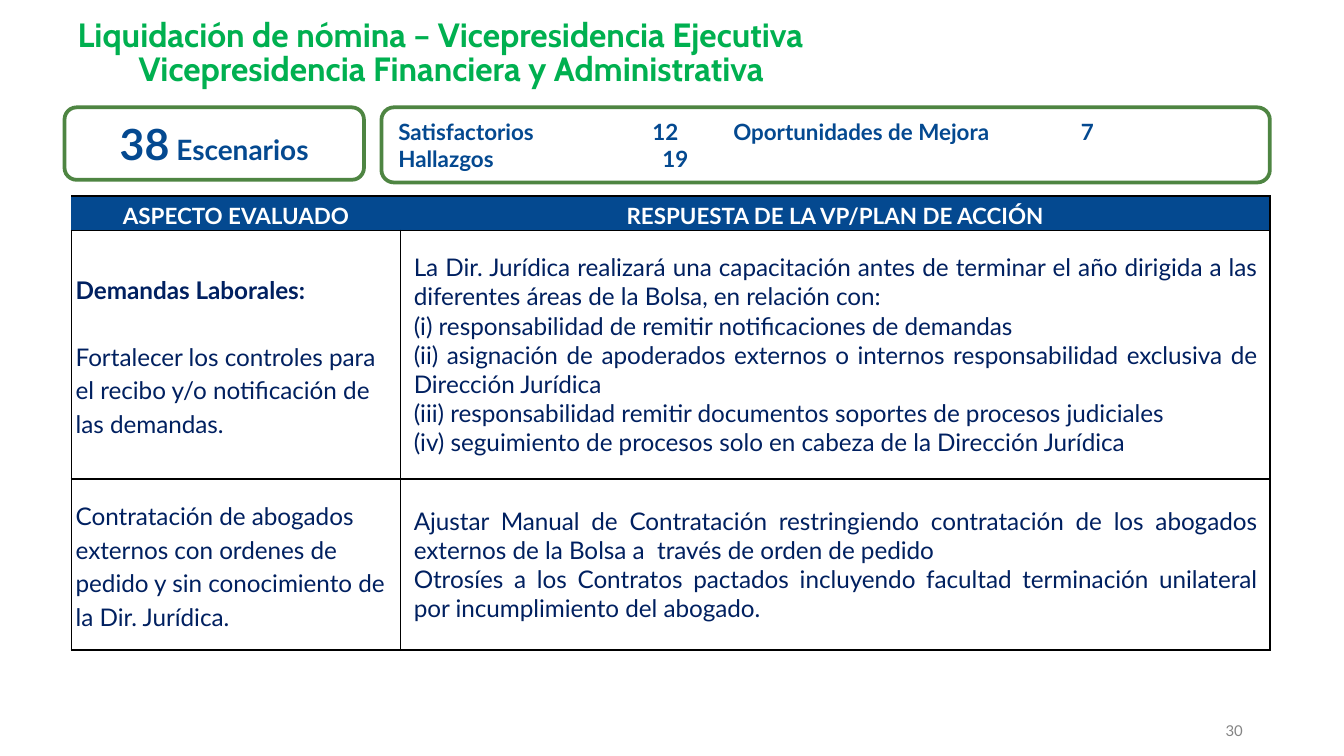
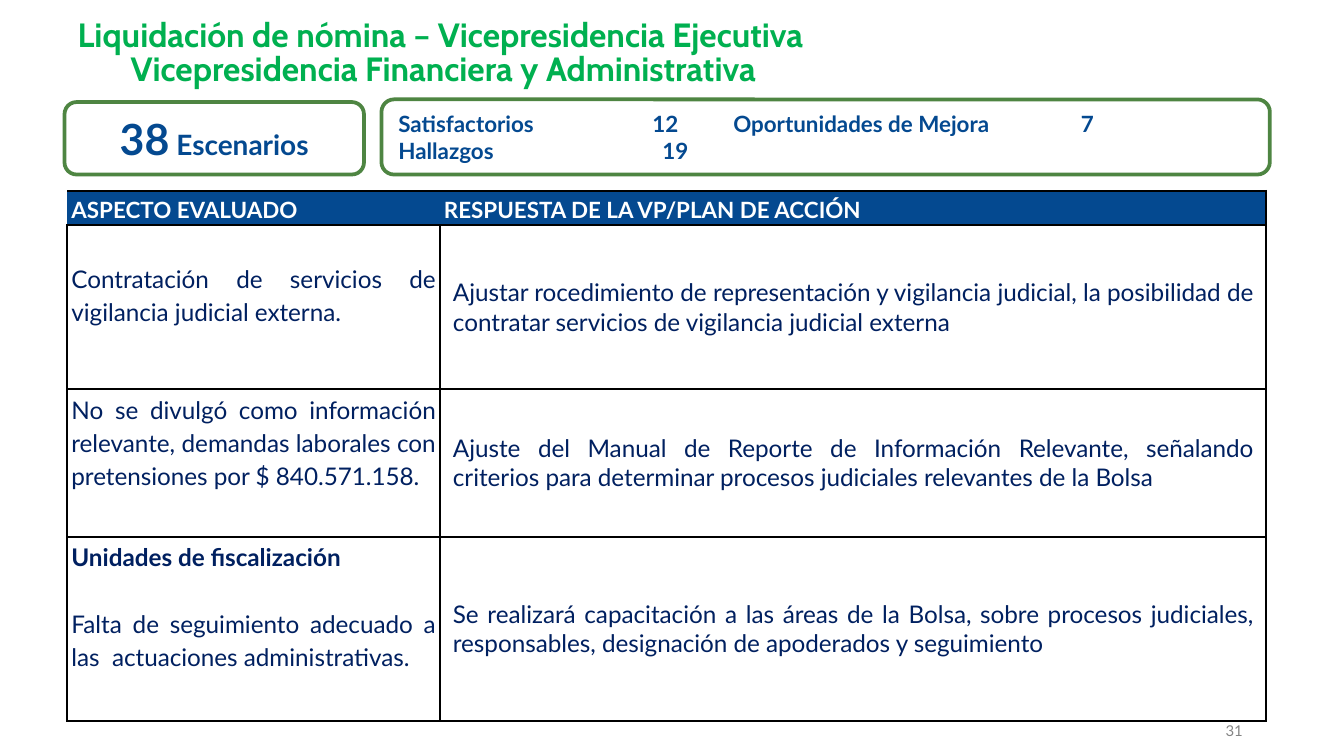
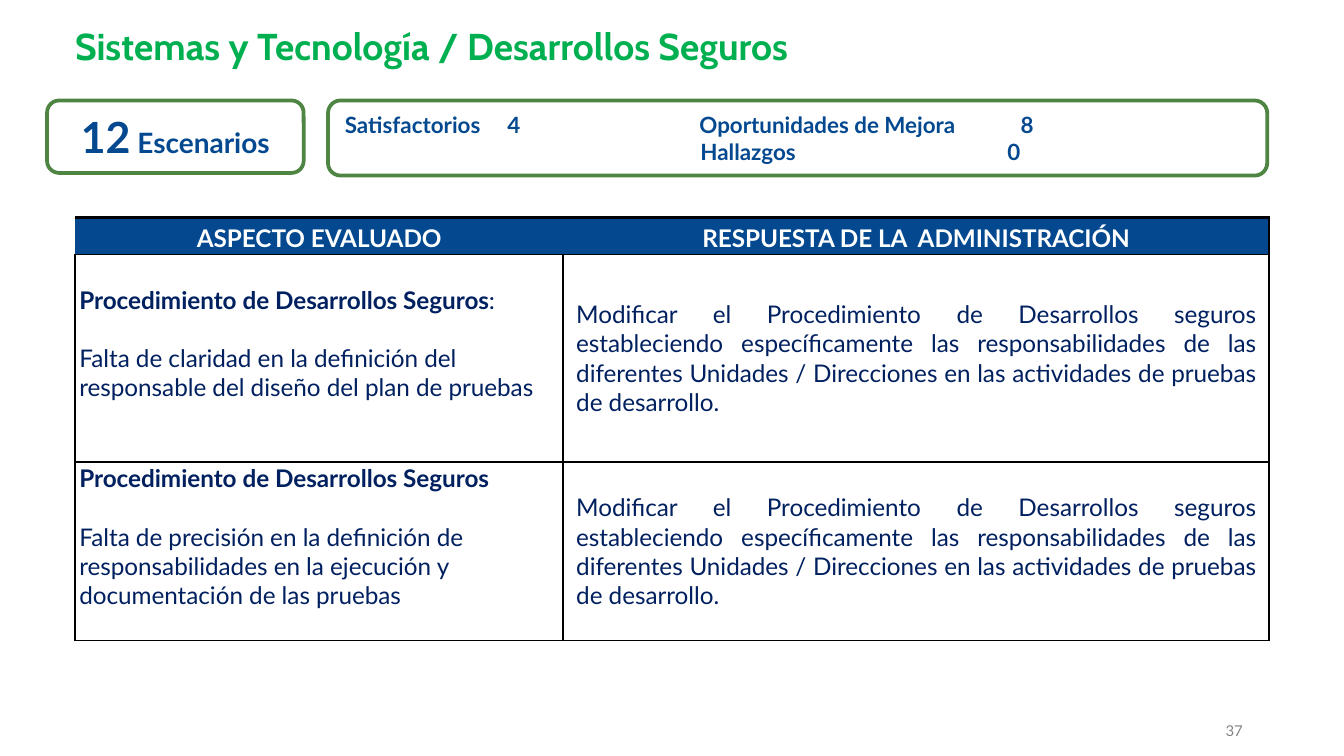
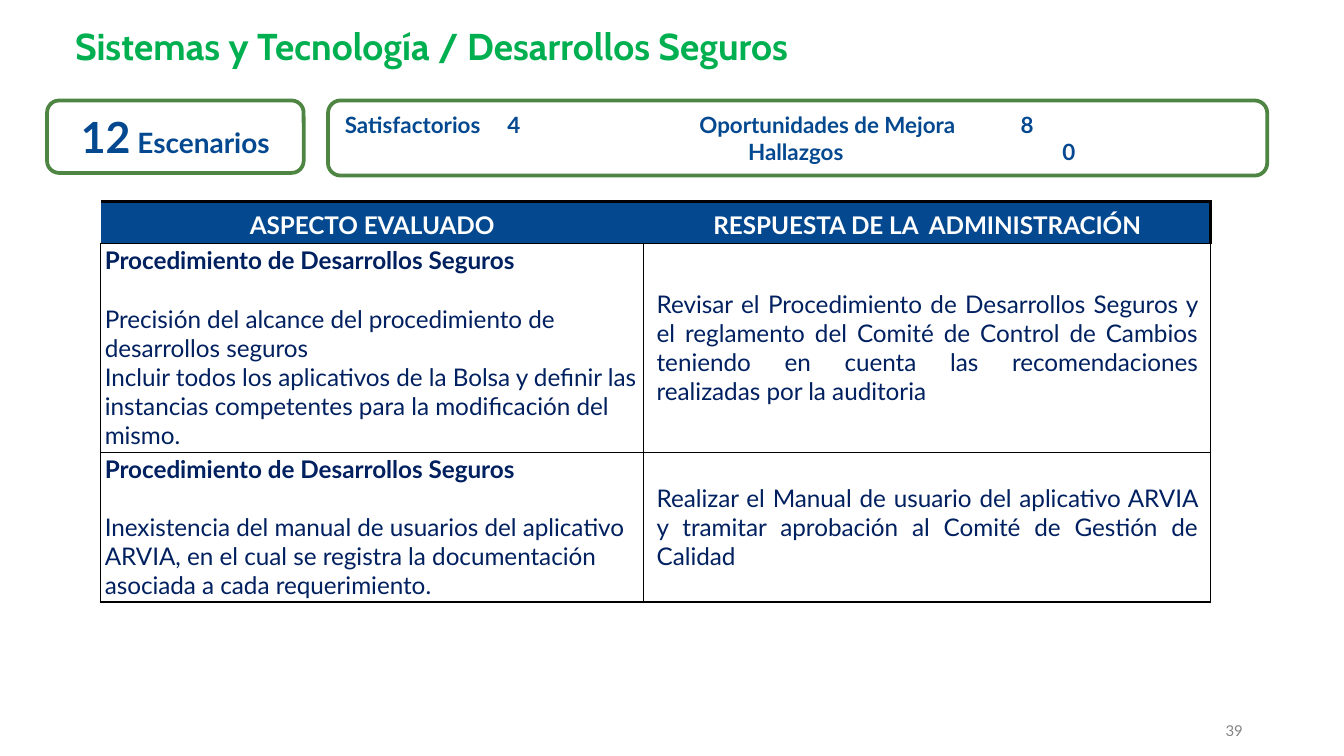
from dataclasses import dataclass

from lxml.etree import SubElement
from pptx import Presentation
from pptx.dml.color import RGBColor
from pptx.enum.shapes import MSO_SHAPE as Shape
from pptx.enum.text import MSO_ANCHOR as Anchor, PP_ALIGN as Align
from pptx.oxml.ns import qn
from pptx.util import Cm, Pt

BLUE, NAVY, GREEN, OUTLINE = "044990", "002060", "00B050", "4E8542"
BLACK, WHITE, GREY = "000000", "FFFFFF", "848484"
TEXT_FONT, TITLE_FONT = "Lato", "Cabin"
BODY_SIZE = 13


@dataclass
class Finding:
    """One table row: the aspect on the left, the answer on the right."""
    heading: str
    aspects: list
    answers: list
    colon: str = ""
    extra_top: float = 0
    extra_bottom: float = 0


@dataclass
class Layout:
    """What the slides of one audited area share."""
    title_box: tuple
    title_size: int
    count: str
    count_box: tuple
    summary_box: tuple
    header: tuple
    header_size: int
    spacing: float


# ---------- shared helpers ----------

def color(hex_code):
    return RGBColor.from_string(hex_code)


def set_margins(target, left, top, right, bottom):
    target.margin_left, target.margin_right = Cm(left), Cm(right)
    target.margin_top, target.margin_bottom = Cm(top), Cm(bottom)


def write(frame, text, size=BODY_SIZE, ink=NAVY, font=TEXT_FONT, bold=False,
          align=Align.LEFT, spacing=None, after=0, indent=0, tabs=()):
    """Add a paragraph; text is a string or a list of (text, changes)."""
    para = frame.paragraphs[0]
    if para.runs:
        para = frame.add_paragraph()
    para.alignment = align
    para.space_after = Pt(after)
    if spacing:
        para.line_spacing = spacing
    props = para._p.get_or_add_pPr()
    if indent:
        props.set("marL", str(Cm(indent)))
    if tabs:
        tab_list = SubElement(props, qn("a:tabLst"))
        for stop in tabs:
            SubElement(tab_list, qn("a:tab"), pos=str(Cm(stop)), algn="l")
    for words, changes in [(text, {})] if isinstance(text, str) else text:
        span = para.add_run()
        span.text = words
        span.font.name = font
        span.font.size = Pt(changes.get("size", size))
        span.font.bold = changes.get("bold", bold)
        span.font.color.rgb = color(ink)


def text_box(page, box, anchor=Anchor.TOP):
    frame = page.shapes.add_textbox(*map(Cm, box)).text_frame
    frame.word_wrap = True
    frame.vertical_anchor = anchor
    set_margins(frame, 0, 0, 0, 0)
    return frame


def rounded_box(page, box):
    shape = page.shapes.add_shape(Shape.ROUNDED_RECTANGLE, *map(Cm, box))
    shape.shadow.inherit = False
    shape.fill.solid()
    shape.fill.fore_color.rgb = color(WHITE)
    shape.line.color.rgb = color(OUTLINE)
    shape.line.width = Pt(2)
    shape.text_frame.word_wrap = True
    shape.text_frame.vertical_anchor = Anchor.MIDDLE
    return shape.text_frame


def set_borders(cell, left=1, right=1, top=1, bottom=1):
    """Draw the cell edges in points; zero means no line."""
    props = cell._tc.get_or_add_tcPr()
    for side, width in zip("LRTB", (left, right, top, bottom)):
        line = SubElement(props, qn(f"a:ln{side}"), w=str(Pt(width)))
        if width:
            fill = SubElement(line, qn("a:solidFill"))
            SubElement(fill, qn("a:srgbClr"), val=BLACK)
        else:
            SubElement(line, qn("a:noFill"))


# ---------- regions ----------

def add_title(page, layout, lines, second_indent=0):
    frame = text_box(page, layout.title_box)
    for line, indent in zip(lines, (0, second_indent)):
        write(frame, line, size=layout.title_size, ink=GREEN, font=TITLE_FONT,
              bold=True, spacing=0.85, indent=indent)


def add_page_number(page, number):
    frame = text_box(page, (22.68, 13.64, 0.81, 0.33), Anchor.BOTTOM)
    write(frame, str(number), size=8, ink=GREY, align=Align.RIGHT)


def add_count(page, layout, top):
    left, width, height = layout.count_box
    frame = rounded_box(page, (left, top, width, height))
    write(frame, [(layout.count, {"size": 23}), (" Escenarios", {})],
          size=15, ink=BLUE, bold=True, align=Align.CENTER)


def add_summary(page, layout, top, results):
    left, width, height = layout.summary_box
    frame = rounded_box(page, (left, top, width, height))
    for text, tabs in results:
        write(frame, text, size=12, ink=BLUE, bold=True, tabs=tabs)


def fill_header(cell, text, layout, align, last):
    cell.vertical_anchor = Anchor.MIDDLE
    set_margins(cell, 0.08, 0.03, 0.08, 0.03)
    set_borders(cell, left=0, right=1.5 if last else 0, top=1.5)
    cell.fill.solid()
    cell.fill.fore_color.rgb = color(BLUE)
    write(cell.text_frame, text, size=layout.header_size, ink=WHITE, bold=True,
          align=align, spacing=1.15)


def fill_aspect(cell, finding, layout, align, anchor):
    cell.vertical_anchor = anchor
    set_margins(cell, 0.08, 0.03 + finding.extra_top,
                0.08, 0.03 + finding.extra_bottom)
    set_borders(cell)
    cell.fill.background()
    style = {"align": align, "spacing": layout.spacing}
    if finding.heading:
        heading = [(finding.heading, {"bold": True})]
        if finding.colon:
            heading.append((finding.colon, {}))
        write(cell.text_frame, heading,
              after=round(BODY_SIZE * 1.2 * layout.spacing, 1), **style)
    for line in finding.aspects:
        write(cell.text_frame, line, **style)


def fill_answer(cell, finding):
    cell.vertical_anchor = Anchor.MIDDLE
    set_margins(cell, 0.25, 0.1, 0.25, 0.1)
    set_borders(cell)
    cell.fill.background()
    for line in finding.answers:
        write(cell.text_frame, line, align=Align.JUSTIFY)


def add_findings(page, layout, corner, widths, heights, findings,
                 header_align=Align.CENTER, aspect_align=Align.LEFT,
                 aspect_anchor=Anchor.MIDDLE):
    size = sum(widths), sum(heights)
    table = page.shapes.add_table(len(heights), len(widths),
                                  *map(Cm, corner + size)).table
    table.first_row = table.horz_banding = False
    for column, width in zip(table.columns, widths):
        column.width = Cm(width)
    for row, height in zip(table.rows, heights):
        row.height = Cm(height)
    for index, text in enumerate(layout.header):
        fill_header(table.cell(0, index), text, layout, header_align, index == 1)
    for index, finding in enumerate(findings, 1):
        fill_aspect(table.cell(index, 0), finding, layout, aspect_align,
                    aspect_anchor)
        fill_answer(table.cell(index, 1), finding)


def add_audit_page(deck, layout, number, title, tops, results, table,
                   second_indent=0):
    page = deck.slides.add_slide(deck.slide_layouts[6])
    add_page_number(page, number)
    add_title(page, layout, title, second_indent)
    add_findings(page, layout, **table)
    add_count(page, layout, tops[0])
    add_summary(page, layout, tops[1], results)


# ---------- content ----------

PAYROLL = Layout(
    title_box=(1.47, 0.38, 18.82, 1.22), title_size=18,
    count="38", count_box=(1.22, 5.66, 1.37), summary_box=(7.21, 16.79, 1.42),
    header=("ASPECTO EVALUADO", "RESPUESTA DE LA VP/PLAN DE ACCIÓN"),
    header_size=12, spacing=1.15)
PAYROLL_TITLE = ("Liquidación de nómina – Vicepresidencia Ejecutiva",
                 "Vicepresidencia Financiera y Administrativa")
PAYROLL_RESULTS = [
    ("Satisfactorios\t12\tOportunidades de Mejora\t7", (4.8, 6.33, 12.9)),
    ("Hallazgos\t19", (4.99,)),
]

SYSTEMS = Layout(
    title_box=(1.42, 0.56, 17.81, 0.89), title_size=20,
    count="12", count_box=(0.89, 4.85, 1.37), summary_box=(6.2, 17.75, 1.42),
    header=("ASPECTO EVALUADO", "RESPUESTA DE LA  ADMINISTRACIÓN"),
    header_size=13, spacing=1.0)
SYSTEMS_TITLE = ("Sistemas y Tecnología / Desarrollos Seguros",)
SYSTEMS_RESULT = ("Satisfactorios\t4\tOportunidades de Mejora\t8",
                  (3.07, 6.7, 12.77))
SECURE_PROCEDURE = "Procedimiento de Desarrollos Seguros"
CHANGE_PROCEDURE = (
    "Modificar el Procedimiento de Desarrollos seguros estableciendo "
    "específicamente las responsabilidades de las diferentes Unidades / "
    "Direcciones en las actividades de pruebas de desarrollo.")

LAWSUITS = [
    Finding("Demandas Laborales:",
            ["Fortalecer los controles para el recibo y/o notificación de las "
             "demandas."],
            ["La Dir. Jurídica realizará una capacitación antes de terminar el "
             "año dirigida a las diferentes áreas de la Bolsa, en relación con:",
             "(i) responsabilidad de remitir notificaciones de demandas",
             "(ii) asignación de apoderados externos o internos "
             "responsabilidad exclusiva de Dirección Jurídica",
             "(iii) responsabilidad remitir documentos soportes de procesos "
             "judiciales",
             "(iv) seguimiento de procesos solo en cabeza de la Dirección "
             "Jurídica"]),
    Finding("",
            ["Contratación de abogados externos con ordenes de pedido y sin "
             "conocimiento de la Dir. Jurídica."],
            ["Ajustar Manual de Contratación restringiendo contratación de los "
             "abogados externos de la Bolsa a  través de orden de pedido",
             "Otrosíes a los Contratos pactados incluyendo facultad "
             "terminación unilateral por incumplimiento del abogado."]),
]

SURVEILLANCE = [
    Finding("",
            ["Contratación de servicios de vigilancia judicial externa."],
            ["Ajustar rocedimiento de representación y vigilancia judicial, la "
             "posibilidad de contratar servicios de vigilancia judicial "
             "externa"],
            extra_top=0.63),
    Finding("",
            ["No se divulgó como información relevante, demandas laborales con "
             "pretensiones por $ 840.571.158."],
            ["Ajuste del Manual de Reporte de Información Relevante, señalando "
             "criterios para determinar procesos judiciales relevantes de la "
             "Bolsa"]),
    Finding("Unidades de fiscalización",
            ["Falta de seguimiento adecuado a las  actuaciones "
             "administrativas."],
            ["Se realizará capacitación a las áreas de la Bolsa, sobre "
             "procesos judiciales, responsables, designación de apoderados y "
             "seguimiento"]),
]

TESTING = [
    Finding(SECURE_PROCEDURE,
            ["Falta de claridad en la definición del responsable del diseño "
             "del plan de pruebas"],
            [CHANGE_PROCEDURE], colon=":", extra_bottom=0.55),
    Finding(SECURE_PROCEDURE,
            ["Falta de precisión en la definición de responsabilidades en la "
             "ejecución y documentación de las pruebas"],
            [CHANGE_PROCEDURE], extra_bottom=0.55),
]

SCOPE = [
    Finding(SECURE_PROCEDURE,
            ["Precisión del alcance del procedimiento de desarrollos seguros",
             "Incluir todos los aplicativos de la Bolsa y definir las "
             "instancias competentes para la modificación del mismo."],
            ["Revisar el Procedimiento de Desarrollos Seguros y el reglamento "
             "del Comité de Control de Cambios teniendo en cuenta las "
             "recomendaciones realizadas por la auditoria"]),
    Finding(SECURE_PROCEDURE,
            ["Inexistencia del manual de usuarios del aplicativo ARVIA, en el "
             "cual se registra la documentación asociada a cada "
             "requerimiento."],
            ["Realizar el Manual de usuario del aplicativo ARVIA y tramitar "
             "aprobación al Comité de Gestión de Calidad"]),
]


def main():
    deck = Presentation()
    deck.slide_width, deck.slide_height = Cm(25.4), Cm(14.29)

    # Payroll
    add_audit_page(
        deck, PAYROLL, 30, PAYROLL_TITLE, (2.03, 2.03), PAYROLL_RESULTS,
        dict(corner=(1.35, 3.71), widths=(6.22, 16.43),
             heights=(0.64, 4.7, 3.23), findings=LAWSUITS),
        second_indent=1.15)
    add_audit_page(
        deck, PAYROLL, 31, PAYROLL_TITLE, (1.93, 1.88), PAYROLL_RESULTS,
        dict(corner=(1.27, 3.61), widths=(7.04, 15.62),
             heights=(0.64, 3.1, 2.79, 3.48), findings=SURVEILLANCE,
             header_align=Align.JUSTIFY, aspect_align=Align.JUSTIFY,
             aspect_anchor=Anchor.TOP),
        second_indent=1)

    # Secure development
    add_audit_page(
        deck, SYSTEMS, 37, SYSTEMS_TITLE, (1.9, 1.9),
        [SYSTEMS_RESULT, ("\tHallazgos\t0", (6.72, 12.52))],
        dict(corner=(1.42, 4.11), widths=(9.22, 13.34),
             heights=(0.7, 3.92, 3.38), findings=TESTING))
    add_audit_page(
        deck, SYSTEMS, 39, SYSTEMS_TITLE, (1.9, 1.9),
        [SYSTEMS_RESULT, ("\tHallazgos\t0", (7.62, 13.56))],
        dict(corner=(1.9, 3.81), widths=(10.26, 10.72),
             heights=(0.79, 3.95, 2.83), findings=SCOPE))

    deck.save("out.pptx")


if __name__ == "__main__":
    main()
